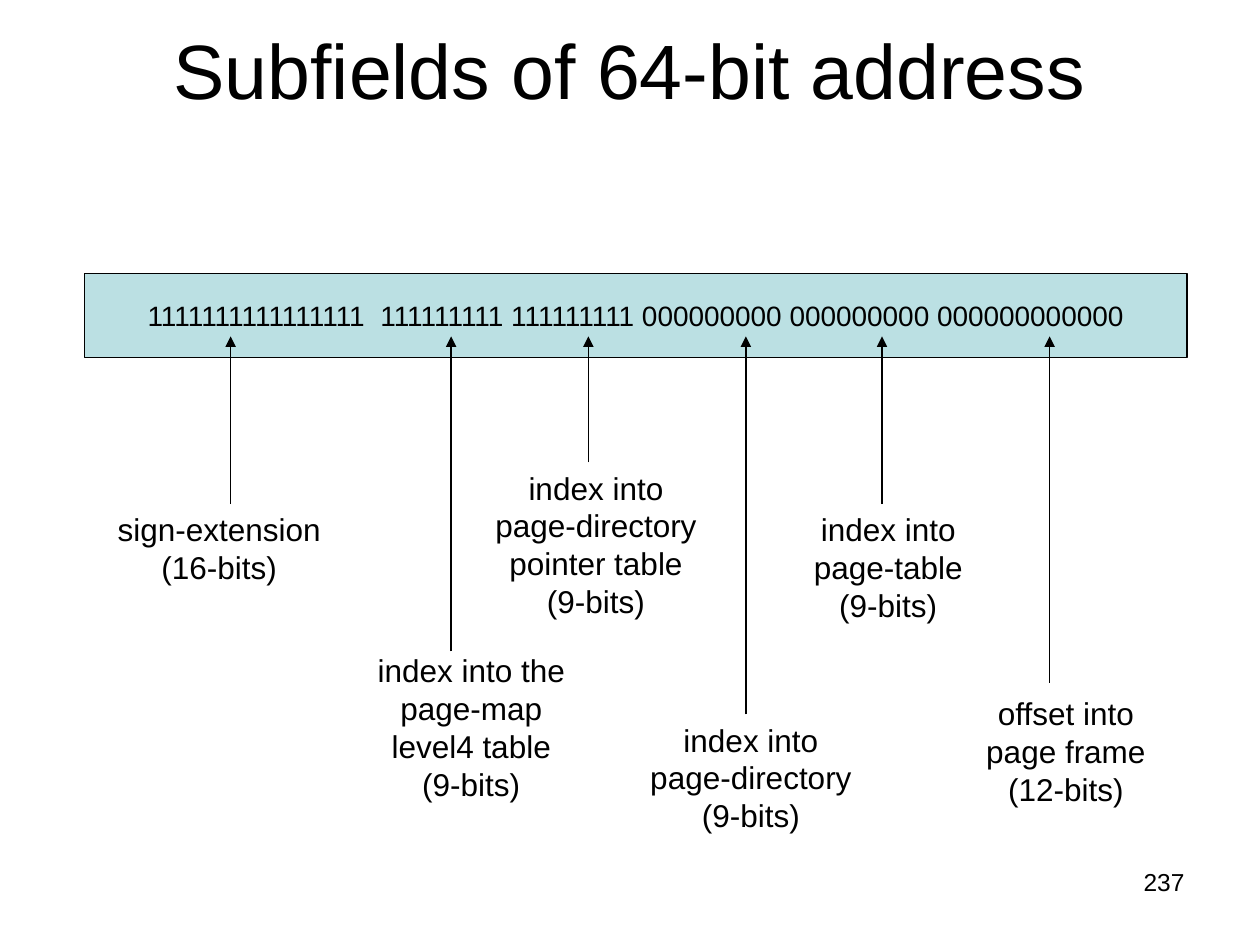
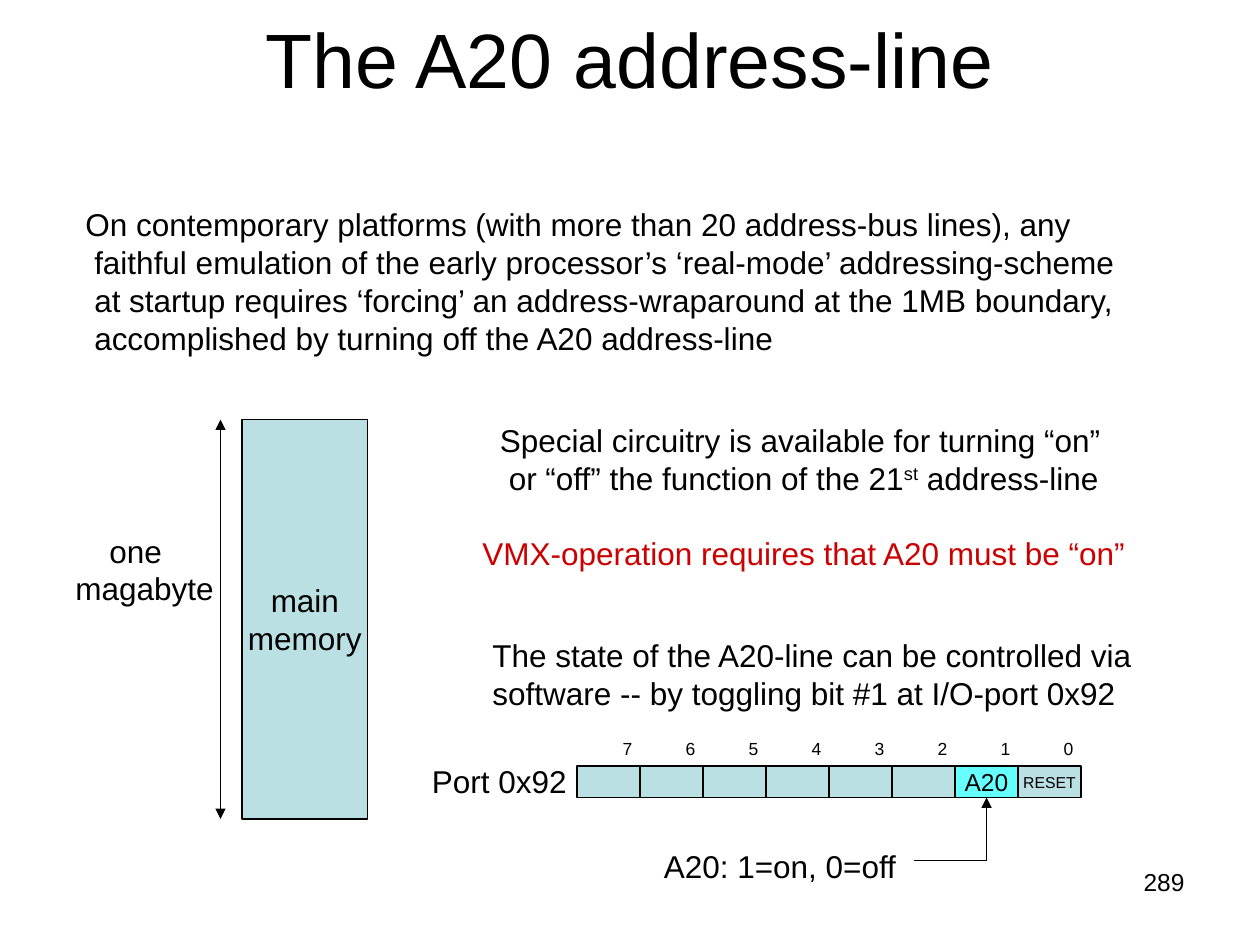
from lxml import etree
from pptx import Presentation
from pptx.dml.color import RGBColor
from pptx.enum.shapes import MSO_CONNECTOR as CONN, MSO_SHAPE as SHAPE
from pptx.enum.text import MSO_ANCHOR as ANCHOR, PP_ALIGN as ALIGN
from pptx.oxml.ns import qn
from pptx.util import Inches, Pt

BLACK = RGBColor(0x00, 0x00, 0x00)
PALE = RGBColor(0xBB, 0xE0, 0xE3)
CYAN = RGBColor(0x66, 0xFF, 0xFF)
RED = RGBColor(0xCC, 0x00, 0x00)
FONT = "Arial"

BIT_FIELDS = ["1" * 16, "1" * 9, "1" * 9, "0" * 9, "0" * 9, "0" * 12]
FIELD_TIP = 2.67
FIELD_LABELS = [
    # lines, label centre, label top, arrow x, arrow start
    (["sign-extension", "(16-bits)"], 1.74, 4, 1.83, 4),
    (["index into the", "page-map", "level4 table", "(9-bits)"], 3.74, 5.12, 3.58, 5.17),
    (["index into", "page-directory", "pointer table", "(9-bits)"], 4.73, 3.67, 4.67, 3.67),
    (["index into", "page-directory", "(9-bits)"], 5.96, 5.67, 5.92, 5.67),
    (["index into", "page-table", "(9-bits)"], 7.05, 4, 7, 4),
    (["offset into", "page frame", "(12-bits)"], 8.46, 5.46, 8.33, 5.42),
]

A20_NOTES = [
    # lines with indents, left, top, width
    ([("On contemporary platforms (with more than 20 address-bus lines), any", 0),
      ("faithful emulation of the early processor’s ‘real-mode’ addressing-scheme", 0.07),
      ("at startup requires ‘forcing’ an address-wraparound at the 1MB boundary,", 0.07),
      ("accomplished by turning off the A20 address-line", 0.07)], 0.58, 1.58, 8.7),
    ([("one", 0.27), ("magabyte", 0)], 0.5, 4.17, 1.4),
    ([("The state of the A20-line can be controlled via", 0.06),
      ("software -- by toggling bit #1 at I/O-port 0x92", 0.06)], 3.75, 5, 5.6),
    ([("Port 0x92", 0)], 3.33, 6, 1.4),
    ([("A20: 1=on, 0=off", 0)], 5.17, 6.67, 2.2),
]
CIRCUIT_LINES = [("Special circuitry is available for turning “on”", 0.14),
                 ("or “off” the function of the 21", 0.21),
                 ("VMX-operation requires that A20 must be “on”", 0)]
PORT_BITS = [("", PALE, 9)] * 6 + [("A20", CYAN, 14), ("RESET", PALE, 9)]
PORT_LEFT, PORT_TOP, CELL_W, CELL_H = 4.58, 6.08, 0.5, 0.25


def style(p, size, align=ALIGN.LEFT, color=BLACK):
    p.alignment = align
    p.font.name, p.font.size, p.font.color.rgb = FONT, Pt(size), color


def fill_text(tf, lines, size, align):
    for i, line in enumerate(lines):
        p = tf.add_paragraph() if i else tf.paragraphs[0]
        text, indent = line if isinstance(line, tuple) else (line, 0)
        p.text = text
        if indent:
            p._p.get_or_add_pPr().set("marL", str(Inches(indent)))
        style(p, size, align)


def text_box(s, lines, x, y, w, size=18, align=ALIGN.LEFT):
    h = 0.1 + len(lines) * size / 60
    tf = s.shapes.add_textbox(Inches(x), Inches(y), Inches(w), Inches(h)).text_frame
    tf.word_wrap = True
    fill_text(tf, lines, size, align)
    return tf


def box(s, lines, x, y, w, h, size=18, fill=PALE):
    sp = s.shapes.add_shape(SHAPE.RECTANGLE, Inches(x), Inches(y), Inches(w), Inches(h))
    sp.shadow.inherit = False
    sp.fill.solid()
    sp.fill.fore_color.rgb = fill
    sp.line.color.rgb, sp.line.width = BLACK, Pt(0.75)
    sp.text_frame.word_wrap = False
    sp.text_frame.vertical_anchor = ANCHOR.MIDDLE
    fill_text(sp.text_frame, lines, size, ALIGN.CENTER)
    return sp


def line(s, x1, y1, x2, y2, ends=("tailEnd",)):
    c = s.shapes.add_connector(CONN.STRAIGHT, Inches(x1), Inches(y1), Inches(x2), Inches(y2))
    c.line.color.rgb, c.line.width = BLACK, Pt(0.75)
    for end in ends:
        etree.SubElement(c.line._get_or_add_ln(), qn("a:" + end), type="triangle")
    etree.SubElement(c._element.spPr, qn("a:effectLst"))
    return c


def new_slide(prs, title, title_top, number):
    s = prs.slides.add_slide(prs.slide_layouts[5])
    sp = s.shapes.title
    sp.left, sp.top, sp.width, sp.height = map(Inches, (0.5, title_top, 9, 1.25))
    sp.text_frame.vertical_anchor = ANCHOR.MIDDLE
    fill_text(sp.text_frame, [title], 44, ALIGN.CENTER)
    text_box(s, [number], 7.17, 6.83, 2.33, 14, ALIGN.RIGHT)
    return s


def subfields_slide(prs):
    s = new_slide(prs, "Subfields of 64-bit address", -0.08, "237")
    p = box(s, [""], 0.67, 2.17, 8.75, 0.67, 16).text_frame.paragraphs[0]
    p.add_run().text = BIT_FIELDS[0]
    gap = p.add_run()
    gap.text = " "
    gap._r.get_or_add_rPr().set("spc", "440")
    p.add_run().text = " ".join(BIT_FIELDS[1:])
    for lines, centre, top, x, start in FIELD_LABELS:
        text_box(s, lines, centre - 1, top, 2, align=ALIGN.CENTER)
        line(s, x, start, x, FIELD_TIP)


def a20_slide(prs):
    s = new_slide(prs, "The A20 address-line", -0.17, "289")
    box(s, ["main", "memory"], 1.92, 3.33, 1, 3.17)
    line(s, 1.75, 6.5, 1.75, 3.33, ("headEnd", "tailEnd"))
    for lines, x, y, w in A20_NOTES:
        text_box(s, lines, x, y, w)

    circuit, ordinal, vmx = text_box(s, CIRCUIT_LINES, 3.73, 3.29, 5.6).paragraphs
    r = ordinal.add_run()
    r.text = "st"
    r._r.get_or_add_rPr().set("baseline", "30000")
    ordinal.add_run().text = " address-line"
    vmx.space_before = Pt(21.6)
    vmx.font.color.rgb = RED

    cells = {}
    for i, (name, fill, size) in enumerate(PORT_BITS):
        x = PORT_LEFT + i * CELL_W
        cells[name] = box(s, [name], x, PORT_TOP, CELL_W, CELL_H, size, fill)
        text_box(s, [str(7 - i)], x + 0.15, 5.81, CELL_W, 10, ALIGN.CENTER)
    line(s, 7.25, 6.83, 7.83, 6.83, ())
    line(s, 7.83, 6.83, 7.83, 6.33).end_connect(cells["A20"], 2)


def main():
    prs = Presentation()
    prs.slide_width, prs.slide_height = Inches(10), Inches(7.5)
    subfields_slide(prs)
    a20_slide(prs)
    prs.save("out.pptx")


if __name__ == "__main__":
    main()
